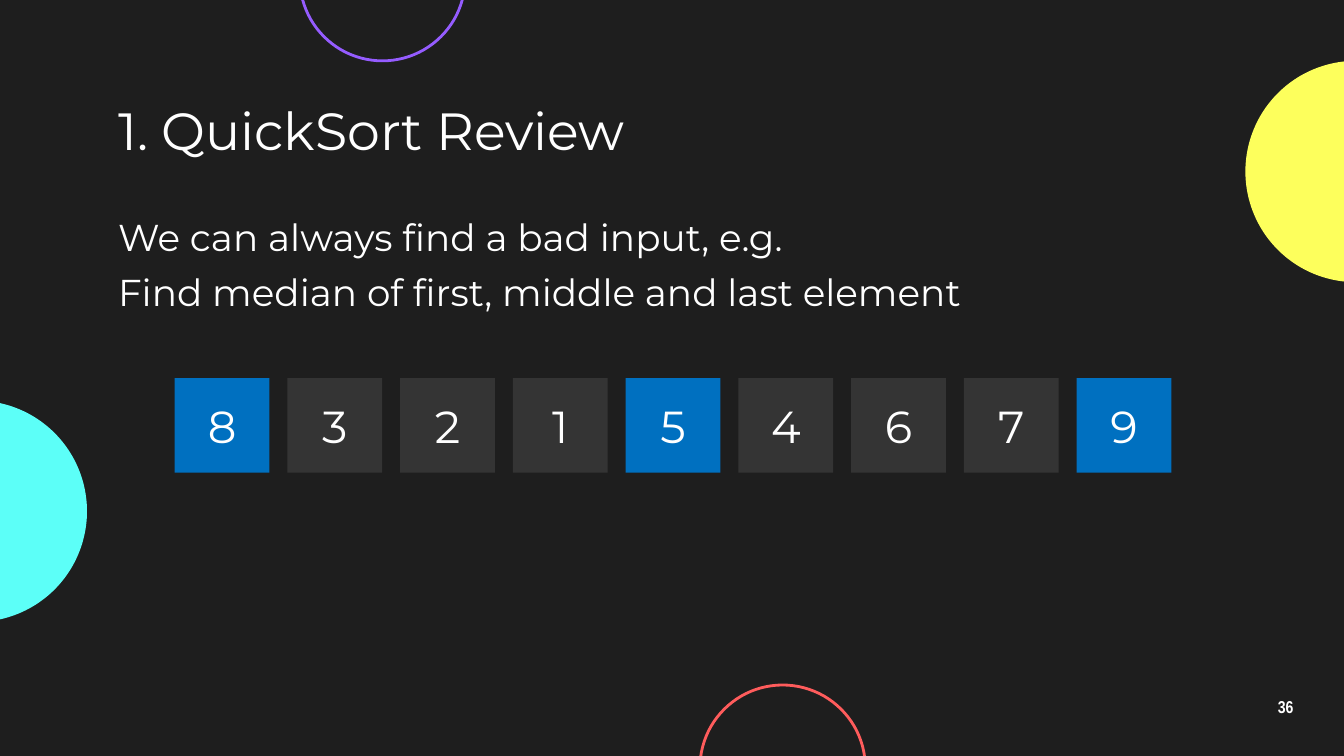
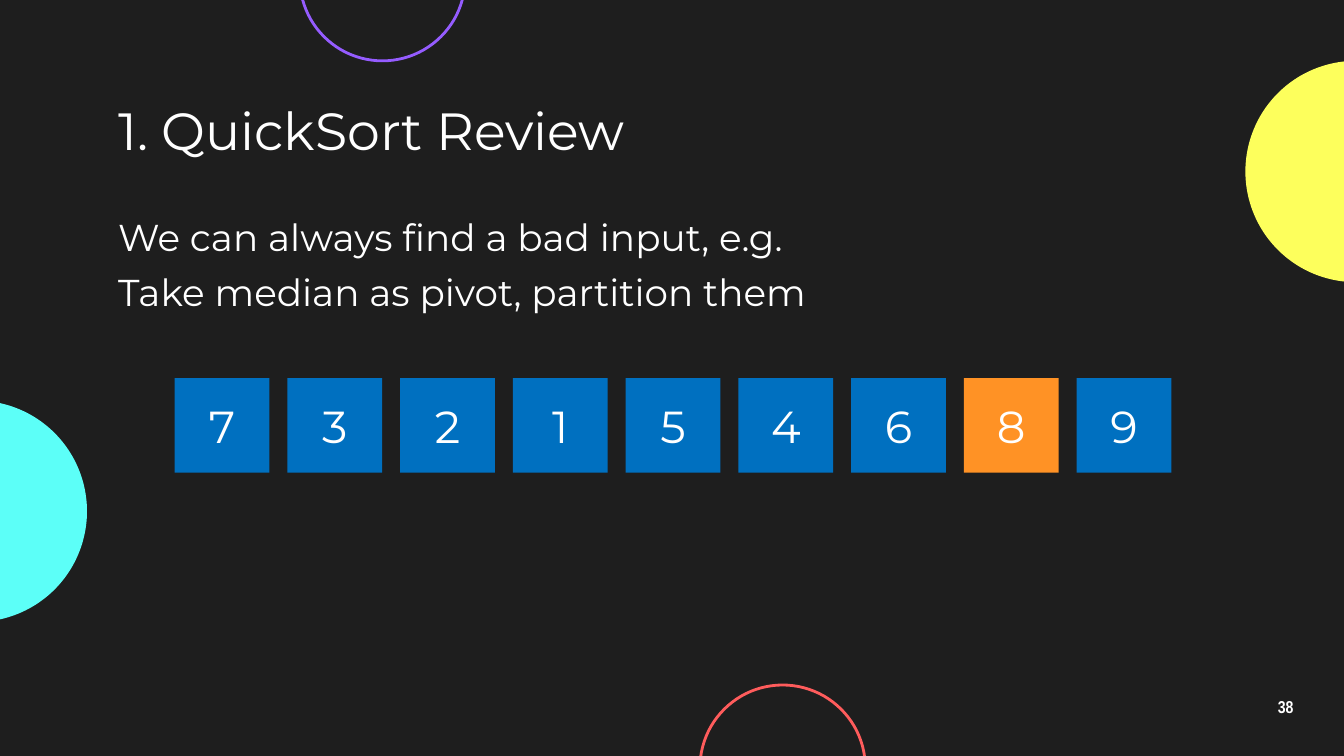
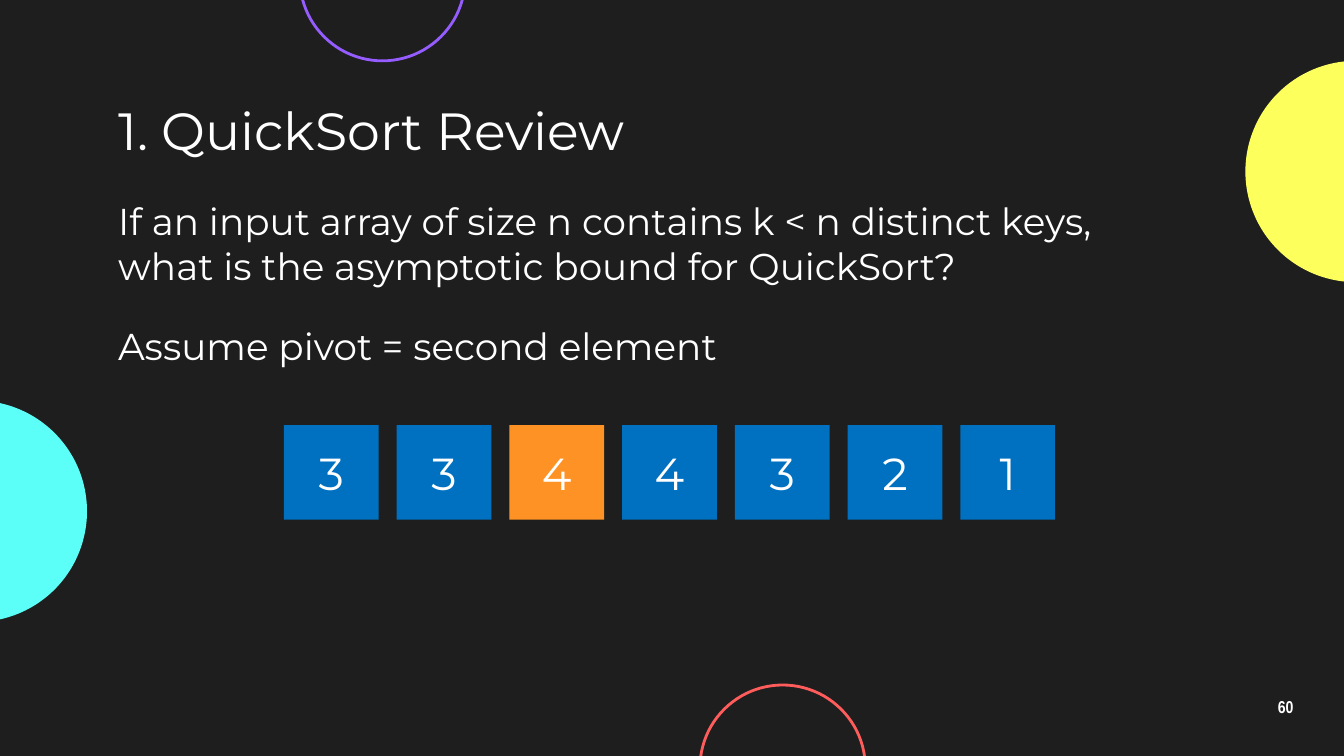
from dataclasses import dataclass

from pptx import Presentation
from pptx.dml.color import RGBColor
from pptx.enum import shapes, text
from pptx.util import Pt


@dataclass(frozen=True)
class Theme:
    background: str = "1E1E1E"
    white: str = "FFFFFF"
    cyan: str = "5CFFF8"
    yellow: str = "FDFF5C"
    purple: str = "955CFF"
    red: str = "FF5C5C"
    blue: str = "0070C0"
    grey: str = "343434"
    orange: str = "FF9225"
    font: str = "Montserrat"
    number_font: str = "Arial Narrow"
    title_size: float = 28
    body_size: float = 20
    cell_size: float = 24
    number_size: float = 9.2


theme = Theme()

# Decorative circles: left, top, diameter, colour, filled
circles = [
    (-72, 214.6, 118.6, theme.cyan, True),
    (667.2, 32.6, 118.6, theme.yellow, True),
    (160.6, -56, 88.6, theme.purple, False),
    (375, 367, 88.6, theme.red, False),
]

text_left, text_width, text_height = 56.2, 559.4, 36.7
cell_side, cell_step = 50.7, 60.4

slides = [
    {
        "number": "36",
        "lines": [
            (107.3, "We can always find a bad input, e.g."),
            (136.8, "Find median of first, middle and last element"),
        ],
        "cells": "832154679",
        "base": theme.grey,
        "marked": {0: theme.blue, 4: theme.blue, 8: theme.blue},
        "corner": (93.6, 202.5),
    },
    {
        "number": "38",
        "lines": [
            (107.3, "We can always find a bad input, e.g."),
            (136.8, "Take median as pivot, partition them"),
        ],
        "cells": "732154689",
        "base": theme.blue,
        "marked": {7: theme.orange},
        "corner": (93.6, 202.5),
    },
    {
        "number": "60",
        "lines": [
            (98.9, "If an input array of size n contains k < n distinct keys, "
                   "what is the asymptotic bound for QuickSort?"),
            (165.9, "Assume pivot = second element"),
        ],
        "cells": "3344321",
        "base": theme.blue,
        "marked": {2: theme.orange},
        "corner": (152.1, 227.7),
    },
]
# The pivot cell in the last array is the third one.


def write(shape, words, size, font=theme.font, bold=False, inset=7.2,
          align=text.PP_ALIGN.LEFT, anchor=text.MSO_ANCHOR.TOP):
    """Fill a shape with one formatted paragraph and return the paragraph."""
    frame = shape.text_frame
    frame_format = {
        "word_wrap": True,
        "auto_size": text.MSO_AUTO_SIZE.NONE,
        "vertical_anchor": anchor,
    }
    for side in ("left", "top", "right", "bottom"):
        frame_format[f"margin_{side}"] = Pt(inset)
    for name, value in frame_format.items():
        setattr(frame, name, value)
    paragraph = frame.paragraphs[0]
    paragraph.text = words
    paragraph.alignment = align
    for name, value in {"name": font, "size": Pt(size), "bold": bold}.items():
        setattr(paragraph.font, name, value)
    paragraph.font.color.rgb = RGBColor.from_string(theme.white)
    return paragraph


def add_shape(slide, kind, left, top, side, colour, filled=True):
    """Add a square-bounded shape that is either filled or outlined."""
    shape = slide.shapes.add_shape(kind, Pt(left), Pt(top), Pt(side), Pt(side))
    shape.shadow.inherit = False
    if filled:
        shape.fill.solid()
        shape.fill.fore_color.rgb = RGBColor.from_string(colour)
        shape.line.fill.background()
    else:
        shape.fill.background()
        shape.line.color.rgb = RGBColor.from_string(colour)
        shape.line.width = Pt(1.5)
    return shape


presentation = Presentation()
presentation.slide_width, presentation.slide_height = Pt(720), Pt(405)
layout = presentation.slide_layouts[5]
layout.background.fill.solid()
layout.background.fill.fore_color.rgb = RGBColor.from_string(theme.background)

for index, content in enumerate(slides):
    slide = presentation.slides.add_slide(layout)

    # The circles move to the layout, so every slide shows them
    if index == 0:
        for left, top, diameter, colour, filled in circles:
            circle = add_shape(slide, shapes.MSO_SHAPE.OVAL, left, top,
                               diameter, colour, filled)
            layout.shapes.element.append(circle.element)

    title = slide.shapes.title
    title.left, title.top = Pt(text_left), Pt(51.3)
    title.width, title.height = Pt(607.7), Pt(text_height)
    write(title, "1. QuickSort Review", theme.title_size,
          anchor=text.MSO_ANCHOR.MIDDLE)

    for top, words in content["lines"]:
        box = slide.shapes.add_textbox(Pt(text_left), Pt(top),
                                       Pt(text_width), Pt(text_height))
        write(box, words, theme.body_size)

    left, top = content["corner"]
    for position, digit in enumerate(content["cells"]):
        colour = content["marked"].get(position, content["base"])
        cell = add_shape(slide, shapes.MSO_SHAPE.RECTANGLE,
                         left + position * cell_step, top, cell_side, colour)
        write(cell, digit, theme.cell_size, inset=3.6,
              align=text.PP_ALIGN.CENTER, anchor=text.MSO_ANCHOR.MIDDLE)

    number_box = slide.shapes.add_textbox(Pt(667.2), Pt(367), Pt(43.2), Pt(24.5))
    paragraph = write(number_box, content["number"], theme.number_size,
                      font=theme.number_font, bold=True,
                      align=text.PP_ALIGN.CENTER, anchor=text.MSO_ANCHOR.MIDDLE)
    paragraph.line_spacing = 0.9

presentation.save("out.pptx")
